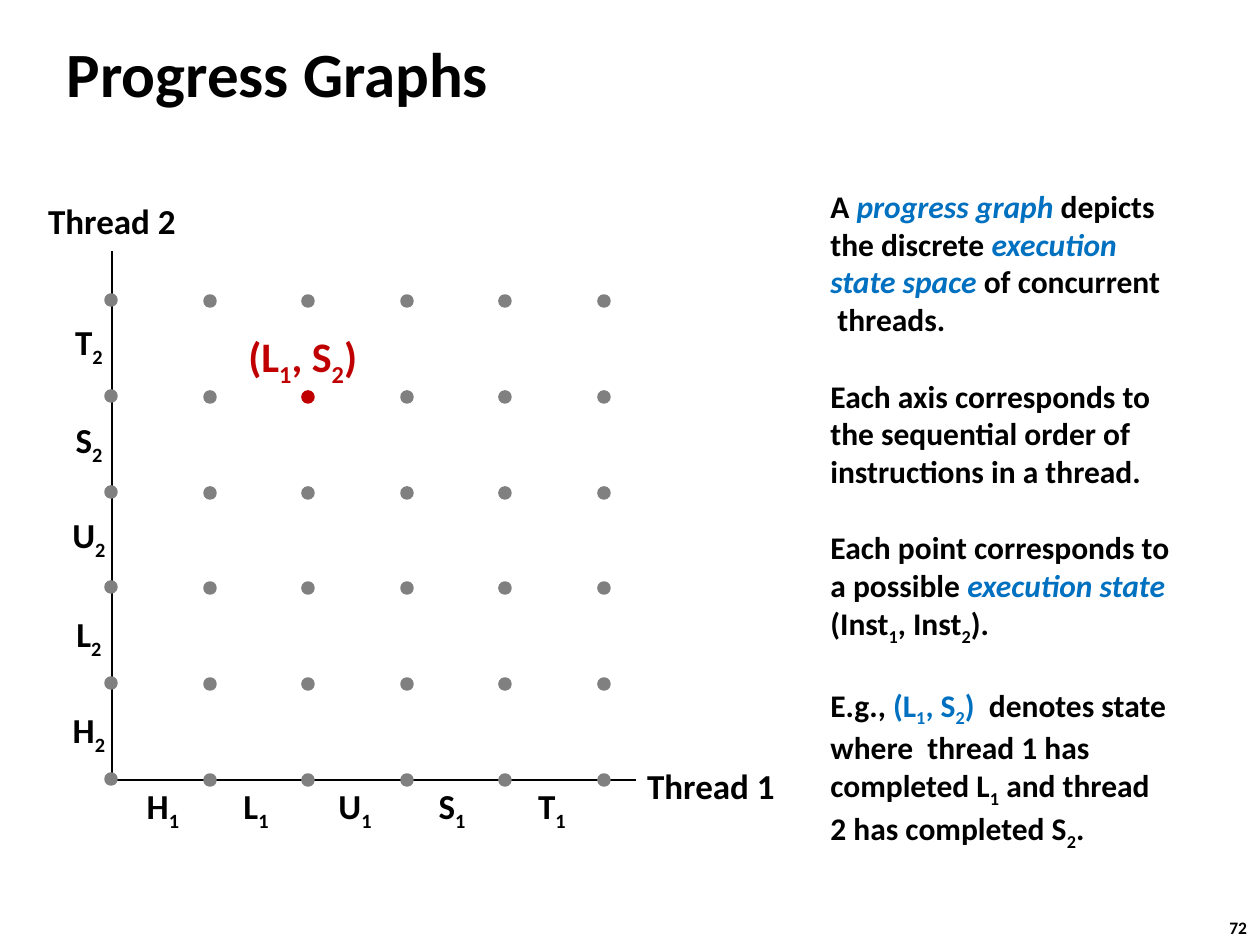
from dataclasses import dataclass

from lxml.etree import SubElement
from pptx import Presentation
from pptx.dml.color import RGBColor
from pptx.enum.shapes import MSO_CONNECTOR as Connector, MSO_SHAPE as Shape
from pptx.enum.text import MSO_ANCHOR as Anchor, MSO_AUTO_SIZE as AutoSize, PP_ALIGN as Align
from pptx.oxml.ns import qn
from pptx.util import Pt


@dataclass(frozen=True)
class Theme:
    font: str = "Calibri"
    ink: str = "000000"
    term: str = "0070C0"
    dot: str = "808080"
    state: str = "C00000"
    title: int = 36
    highlight: int = 24
    label: int = 20
    body: int = 18
    number: int = 10
    block_gap: int = 22


@dataclass(frozen=True)
class Box:
    left: int
    top: int
    width: int
    height: int


THEME = Theme()
PX_PER_INCH = 126

# Kinds of body text: colour and italic
PLAIN = (THEME.ink, False)
TERM = (THEME.term, True)
STATE = (THEME.term, False)

# Blocks of lines of (text, kind); "_" lowers the character after it
EXPLANATION = [
    [
        [("A ", PLAIN), ("progress graph ", TERM), ("depicts", PLAIN)],
        [("the discrete ", PLAIN), ("execution", TERM)],
        [("state space", TERM), (" of concurrent", PLAIN)],
        [(" threads.", PLAIN)],
    ],
    [
        [("Each axis corresponds to", PLAIN)],
        [("the sequential order of", PLAIN)],
        [("instructions in a thread.", PLAIN)],
    ],
    [
        [("Each point corresponds to", PLAIN)],
        [("a possible ", PLAIN), ("execution state", TERM)],
        [("(Inst_1, Inst_2).", PLAIN)],
    ],
    [
        [("E.g., ", PLAIN), ("(L_1, S_2)  ", STATE), ("denotes state", PLAIN)],
        [("where  thread 1 has", PLAIN)],
        [("completed L_1 and thread", PLAIN)],
        [("2 has completed S_2.", PLAIN)],
    ],
]

# Operations with the label centre along each axis
THREAD_1 = {"H": 51, "L": 144, "U": 243, "S": 340, "T": 440}
THREAD_2 = {"H": 481, "L": 385, "U": 286, "S": 191, "T": 93}


def px(count):
    return round(count * 914400 / PX_PER_INCH)


def rgb(color):
    return RGBColor.from_string(color)


def add_span(para, text, size, color, italic=False, lowered=False):
    span = para.add_run()
    span.text = text
    font = span.font
    font.name, font.size, font.bold, font.italic = THEME.font, Pt(size), True, italic
    font.color.rgb = rgb(color)
    if lowered:
        span._r.get_or_add_rPr().set("baseline", "-25000")


def add_spans(para, text, size, color, italic=False):
    head, *rest = text.split("_")
    add_span(para, head, size, color, italic)
    for part in rest:
        add_span(para, part[0], size, color, italic, lowered=True)
        if part[1:]:
            add_span(para, part[1:], size, color, italic)


def add_frame(page, box, anchor=Anchor.MIDDLE):
    frame = page.shapes.add_textbox(*map(px, (box.left, box.top, box.width, box.height))).text_frame
    frame.word_wrap = False
    frame.auto_size = AutoSize.SHAPE_TO_FIT_TEXT
    frame.vertical_anchor = anchor
    return frame


def add_label(page, x, y, text, width=60, height=55, size=THEME.label, color=THEME.ink,
              align=Align.CENTER):
    """Place a one-line label centred on a point."""
    box = Box(x - width // 2, y - height // 2, width, height)
    para = add_frame(page, box).paragraphs[0]
    para.alignment = align
    add_spans(para, text, size, color)


def add_title(page, box):
    title = page.shapes.title
    title.left, title.top, title.width, title.height = map(
        px, (box.left, box.top, box.width, box.height))
    frame = title.text_frame
    frame.vertical_anchor = Anchor.MIDDLE
    para = frame.paragraphs[0]
    para.alignment = Align.LEFT
    add_span(para, "Progress Graphs", THEME.title, THEME.ink)


def add_explanation(page, box):
    frame = add_frame(page, box)
    for block_index, block in enumerate(EXPLANATION):
        for line_index, line in enumerate(block):
            first = block_index == line_index == 0
            para = frame.paragraphs[0] if first else frame.add_paragraph()
            if block_index and not line_index:
                para.space_before = Pt(THEME.block_gap)
            for text, (color, italic) in line:
                add_spans(para, text, THEME.body, color, italic)


def add_axis(page, start, end):
    axis = page.shapes.add_connector(Connector.STRAIGHT, *map(px, (*start, *end)))
    axis.line.color.rgb = rgb(THEME.ink)
    axis.line.width = Pt(1)
    SubElement(axis._element.spPr, qn("a:effectLst"))


def add_dots(page, box, steps=5, diameter=10):
    """Place a grid of states, one group for each column."""
    grid_width, grid_height = 493, 479
    for column in range(steps + 1):
        group = page.shapes.add_group_shape()
        center_x = box.left - 1 + round(grid_width * column / steps)
        base = box.top + box.height - (column == 0)
        for row in range(steps + 1):
            center_y = base - round(grid_height * row / steps)
            dot = group.shapes.add_shape(
                Shape.OVAL, px(center_x - diameter / 2), px(center_y - diameter / 2),
                px(diameter), px(diameter))
            color = rgb(THEME.state if (column, row) == (2, 4) else THEME.dot)
            dot.shadow.inherit = False
            dot.fill.solid()
            dot.fill.fore_color.rgb = color
            dot.line.color.rgb = color
            dot.line.width = Pt(2)


def add_graph(page, box):
    """Draw the graph; its axes are the left and bottom sides of the box."""
    bottom = box.top + box.height
    origin = (box.left, bottom)

    # Axes and their labels
    add_axis(page, origin, (box.left + box.width, bottom))
    add_axis(page, origin, (box.left, box.top))
    for name, offset in THREAD_1.items():
        add_label(page, box.left + offset, bottom + 28, f"{name}_1")
    for name, offset in THREAD_2.items():
        add_label(page, box.left - 23, box.top + offset, f"{name}_2")
    add_label(page, box.left + box.width + 75, bottom + 5, "Thread 1", width=154)
    add_label(page, box.left, box.top - 31, "Thread 2", width=154)

    # States and the highlighted one
    add_dots(page, box)
    add_label(page, box.left + 198, box.top + 108, "(L_1, S_2)", width=149, height=63,
              size=THEME.highlight, color=THEME.state, align=Align.LEFT)


def add_page_number(page, box):
    para = add_frame(page, box, Anchor.TOP).paragraphs[0]
    add_span(para, "72", THEME.number, THEME.ink)


def main():
    deck = Presentation()
    deck.slide_width, deck.slide_height = px(1260), px(945)
    page = deck.slides.add_slide(deck.slide_layouts[5])
    add_page_number(page, Box(1217, 911, 47, 34))
    add_title(page, Box(54, 20, 1046, 105))
    add_explanation(page, Box(818, 189, 367, 661))
    add_graph(page, Box(112, 251, 524, 529))
    deck.save("out.pptx")


if __name__ == "__main__":
    main()
